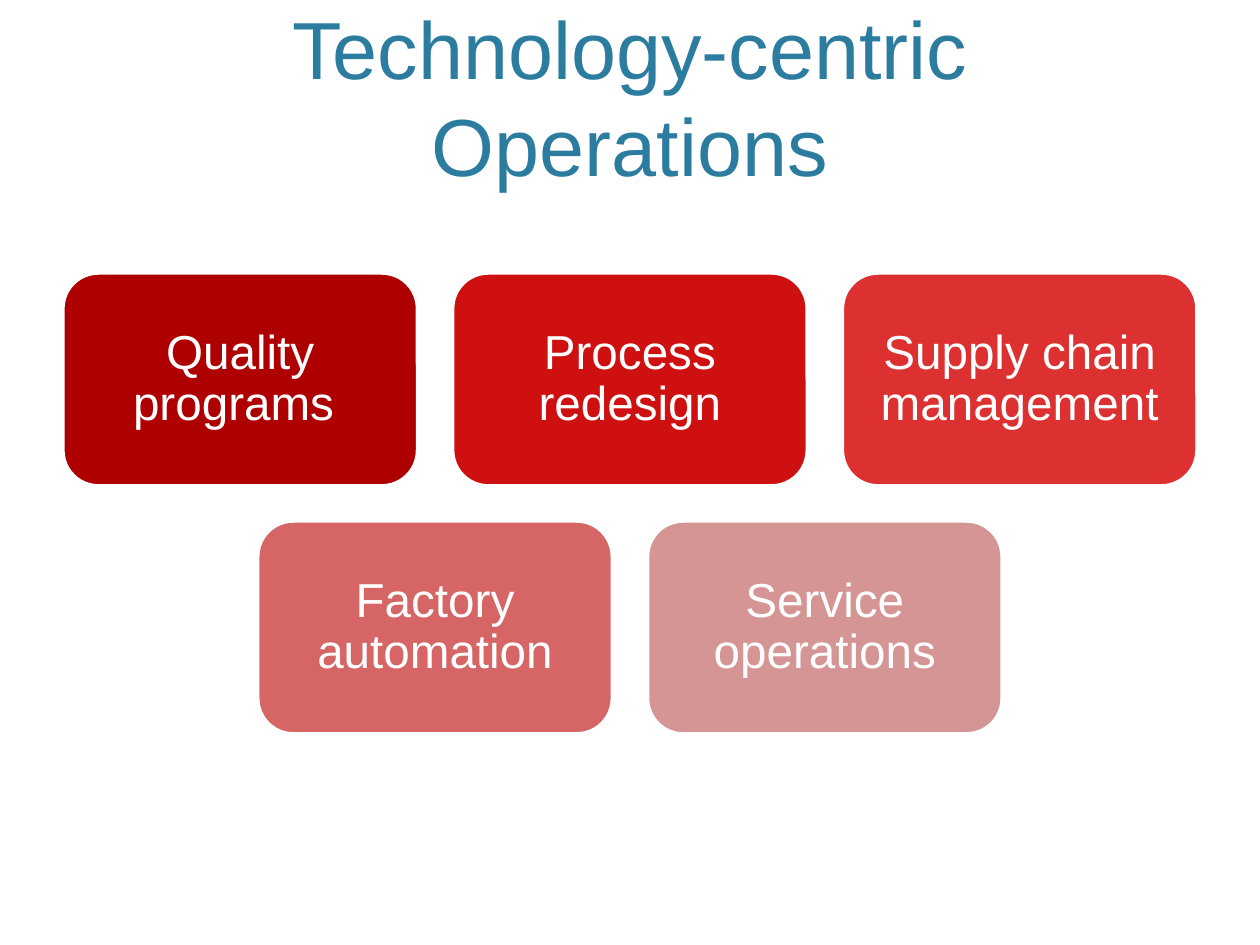
from pptx import Presentation
from pptx.dml.color import RGBColor
from pptx.enum import shapes, text
from pptx.util import Inches, Pt

TITLE = "Technology-centric Operations"
ROWS = [
    [("Quality programs ", "AE0000"),
     ("Process redesign", "CE1010"),
     ("Supply chain management", "DD3030")],
    [("Factory automation", "D66666"),
     ("Service operations", "D69595")],
]

THEME = {
    "font": "Arial",
    "title_color": "2C7C9F",
    "title_size": 51,
    "box_color": "FFFFFF",
    "box_size": 30,
    "border": "FFFFFF",
    "border_width": 2,
}

CM_PER_INCH = 2.54
SLIDE_W, SLIDE_H = 28 / CM_PER_INCH, 21 / CM_PER_INCH
TITLE_AREA = (0.66, 0.14, 9.7, 1.61)
BOX_W, BOX_H, GAP, ROWS_TOP = 3.1, 1.86, 0.31, 2.39


def write(sp, words, role, anchor, inset_x, inset_y, line_spacing=1.0):
    """Set one centred paragraph in the theme style of the given role."""
    tf = sp.text_frame
    frame_format = {
        "word_wrap": True,
        "vertical_anchor": anchor,
        "margin_left": Inches(inset_x),
        "margin_right": Inches(inset_x),
        "margin_top": Inches(inset_y),
        "margin_bottom": Inches(inset_y),
    }
    for name, value in frame_format.items():
        setattr(tf, name, value)
    p = tf.paragraphs[0]
    p.alignment = text.PP_ALIGN.CENTER
    p.line_spacing = line_spacing
    r = p.add_run()
    r.text = words
    r.font.name = THEME["font"]
    r.font.size = Pt(THEME[f"{role}_size"])
    r.font.color.rgb = RGBColor.from_string(THEME[f"{role}_color"])


def add_box(s, left, top, words, fill):
    sp = s.shapes.add_shape(shapes.MSO_SHAPE.ROUNDED_RECTANGLE,
                            *map(Inches, (left, top, BOX_W, BOX_H)))
    sp.shadow.inherit = False
    sp.fill.solid()
    sp.fill.fore_color.rgb = RGBColor.from_string(fill)
    sp.line.color.rgb = RGBColor.from_string(THEME["border"])
    sp.line.width = Pt(THEME["border_width"])
    write(sp, words, "box", text.MSO_ANCHOR.MIDDLE, 0.12, 0.12, 0.9)


def main():
    prs = Presentation()
    prs.slide_width, prs.slide_height = Inches(SLIDE_W), Inches(SLIDE_H)
    s = prs.slides.add_slide(prs.slide_layouts[6])

    title = s.shapes.add_textbox(*map(Inches, TITLE_AREA))
    write(title, TITLE, "title", text.MSO_ANCHOR.BOTTOM, 0.11, 0.06)

    for row_no, row in enumerate(ROWS):
        row_w = len(row) * (BOX_W + GAP) - GAP
        row_left = (SLIDE_W - row_w) / 2
        top = ROWS_TOP + row_no * (BOX_H + GAP)
        for col_no, (words, fill) in enumerate(row):
            add_box(s, row_left + col_no * (BOX_W + GAP), top, words, fill)

    prs.save("out.pptx")


if __name__ == "__main__":
    main()
